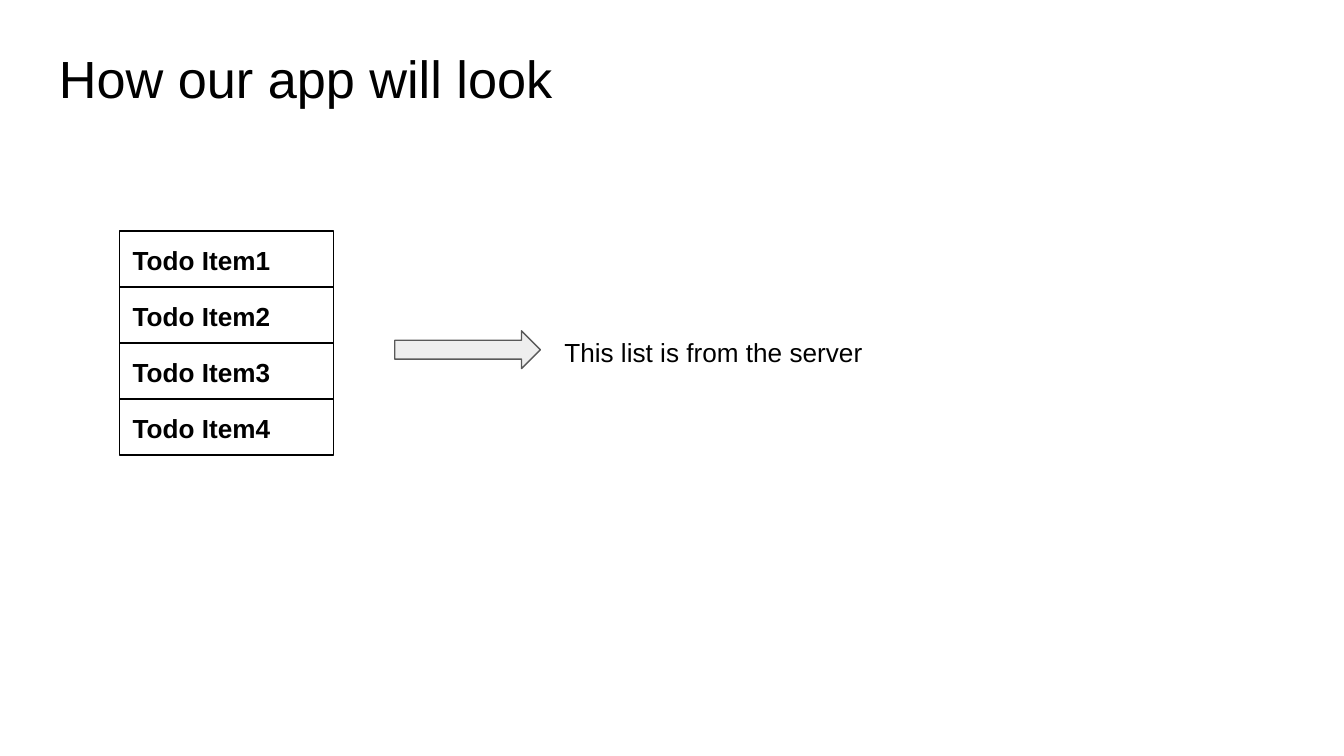
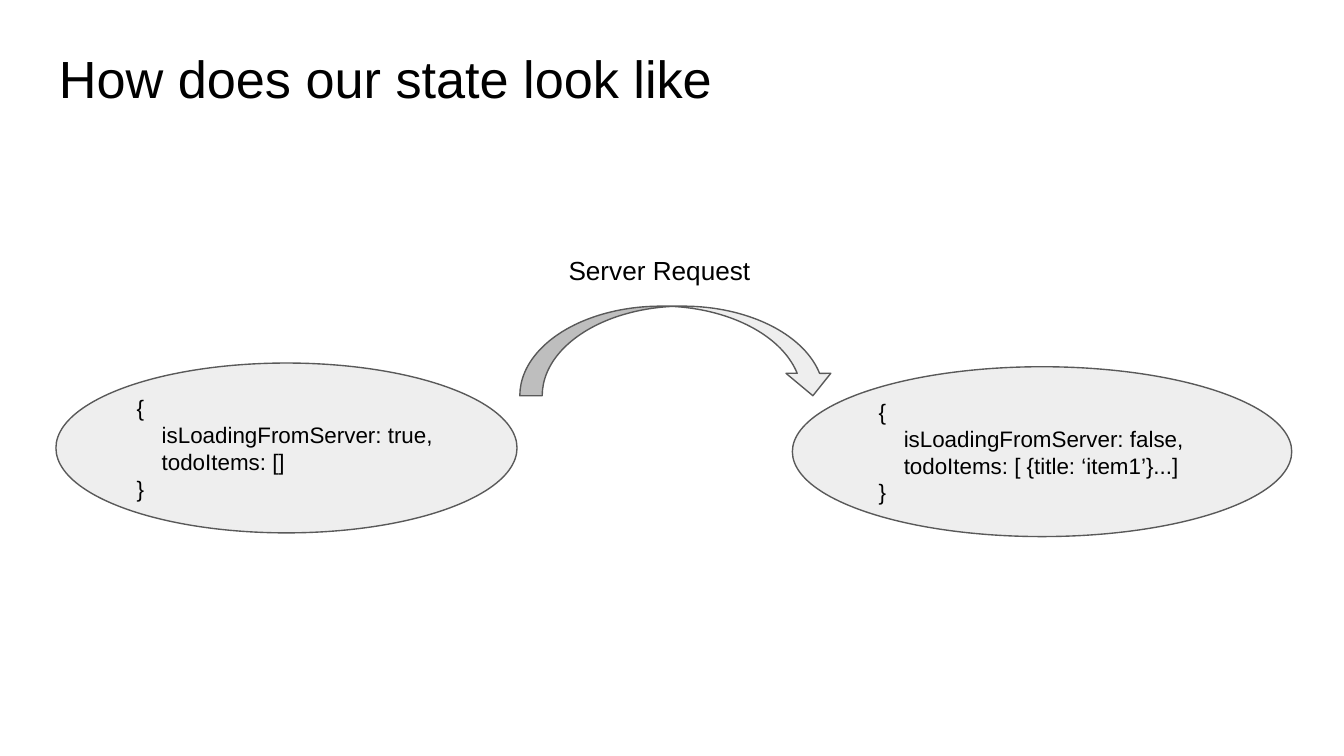
from pptx import Presentation
from pptx.dml.color import RGBColor
from pptx.enum.shapes import MSO_SHAPE
from pptx.enum.text import MSO_ANCHOR, PP_ALIGN
from pptx.util import Pt

RECTANGLE = MSO_SHAPE.RECTANGLE
ELLIPSE = MSO_SHAPE.OVAL
RIGHT_ARROW = MSO_SHAPE.RIGHT_ARROW
CURVED_ARROW = MSO_SHAPE.CURVED_DOWN_ARROW
TOP, MIDDLE = MSO_ANCHOR.TOP, MSO_ANCHOR.MIDDLE
LEFT = PP_ALIGN.LEFT

BLACK = RGBColor(0x00, 0x00, 0x00)
LIGHT_GREY = RGBColor(0xEE, 0xEE, 0xEE)
DARK_GREY = RGBColor(0x59, 0x59, 0x59)

TITLE_FORMAT = {"size": Pt(28), "name": "Arial"}
LABEL_FORMAT = {"size": Pt(14), "name": "Arial"}
ITEM_FORMAT = {"size": Pt(14), "name": "Arial", "bold": True}
CODE_FORMAT = {"size": Pt(12), "name": "Arial"}

TITLE_BOX = (24.5, 17.5, 671, 45)
INSET = 7.2
CODE_INDENT = 13.4

LIST_TITLE = "How our app will look"
TODO_ITEMS = ["Todo Item1", "Todo Item2", "Todo Item3", "Todo Item4"]
ITEM_LEFT, ITEM_TOP, ITEM_WIDTH, ITEM_HEIGHT = 64, 123.75, 114.75, 30
LIST_ARROW_BOX = (211.5, 177.25, 78, 20.25)
LIST_LABEL = ("This list is from the server", (295.25, 173, 179.5, 41))

STATE_TITLE = "How does our state look like"
STATES = [
    ((30, 194.5, 247, 91),
     ["isLoadingFromServer: true,", "todoItems: []"]),
    ((424.5, 196.5, 267.5, 91),
     ["isLoadingFromServer: false,", "todoItems: [ {title: ‘item1’}...]"]),
]
REQUEST_ARROW_BOX = (278.5, 164, 169, 48)
REQUEST_LABEL = ("Server Request", (297.5, 129, 119, 31))


def points(box):
    return [Pt(length) for length in box]


def write(shape, lines, text_format, anchor=TOP):
    frame = shape.text_frame
    frame.word_wrap = True
    frame.vertical_anchor = anchor
    for side in ("left", "top", "right", "bottom"):
        setattr(frame, "margin_" + side, Pt(INSET))
    for index, (text, indent) in enumerate(lines):
        paragraph = frame.add_paragraph() if index else frame.paragraphs[0]
        paragraph.alignment = LEFT
        if indent:
            paragraph._p.get_or_add_pPr().set("marL", str(Pt(indent)))
        run = paragraph.add_run()
        run.text = text
        run.font.color.rgb = BLACK
        for name, value in text_format.items():
            setattr(run.font, name, value)


def add_text(slide, text, box, text_format):
    write(slide.shapes.add_textbox(*points(box)), [(text, 0)], text_format)


def add_figure(slide, kind, box, fill=LIGHT_GREY, line=DARK_GREY):
    shape = slide.shapes.add_shape(kind, *points(box))
    shape.shadow.inherit = False
    if fill is None:
        shape.fill.background()
    else:
        shape.fill.solid()
        shape.fill.fore_color.rgb = fill
    shape.line.color.rgb = line
    shape.line.width = Pt(0.75)
    return shape


def add_slide(presentation, title):
    slide = presentation.slides.add_slide(presentation.slide_layouts[6])
    add_text(slide, title, TITLE_BOX, TITLE_FORMAT)
    return slide


presentation = Presentation()
presentation.slide_width = Pt(720)
presentation.slide_height = Pt(405)

list_slide = add_slide(presentation, LIST_TITLE)
for row, item in enumerate(TODO_ITEMS):
    box = (ITEM_LEFT, ITEM_TOP + row * ITEM_HEIGHT, ITEM_WIDTH, ITEM_HEIGHT)
    cell = add_figure(list_slide, RECTANGLE, box, fill=None, line=BLACK)
    write(cell, [(item, 0)], ITEM_FORMAT)
add_figure(list_slide, RIGHT_ARROW, LIST_ARROW_BOX)
add_text(list_slide, *LIST_LABEL, LABEL_FORMAT)

state_slide = add_slide(presentation, STATE_TITLE)
for box, fields in STATES:
    lines = [("{", 0), *((field, CODE_INDENT) for field in fields), ("}", 0)]
    write(add_figure(state_slide, ELLIPSE, box), lines, CODE_FORMAT, MIDDLE)
add_figure(state_slide, CURVED_ARROW, REQUEST_ARROW_BOX)
add_text(state_slide, *REQUEST_LABEL, LABEL_FORMAT)

presentation.save("out.pptx")
